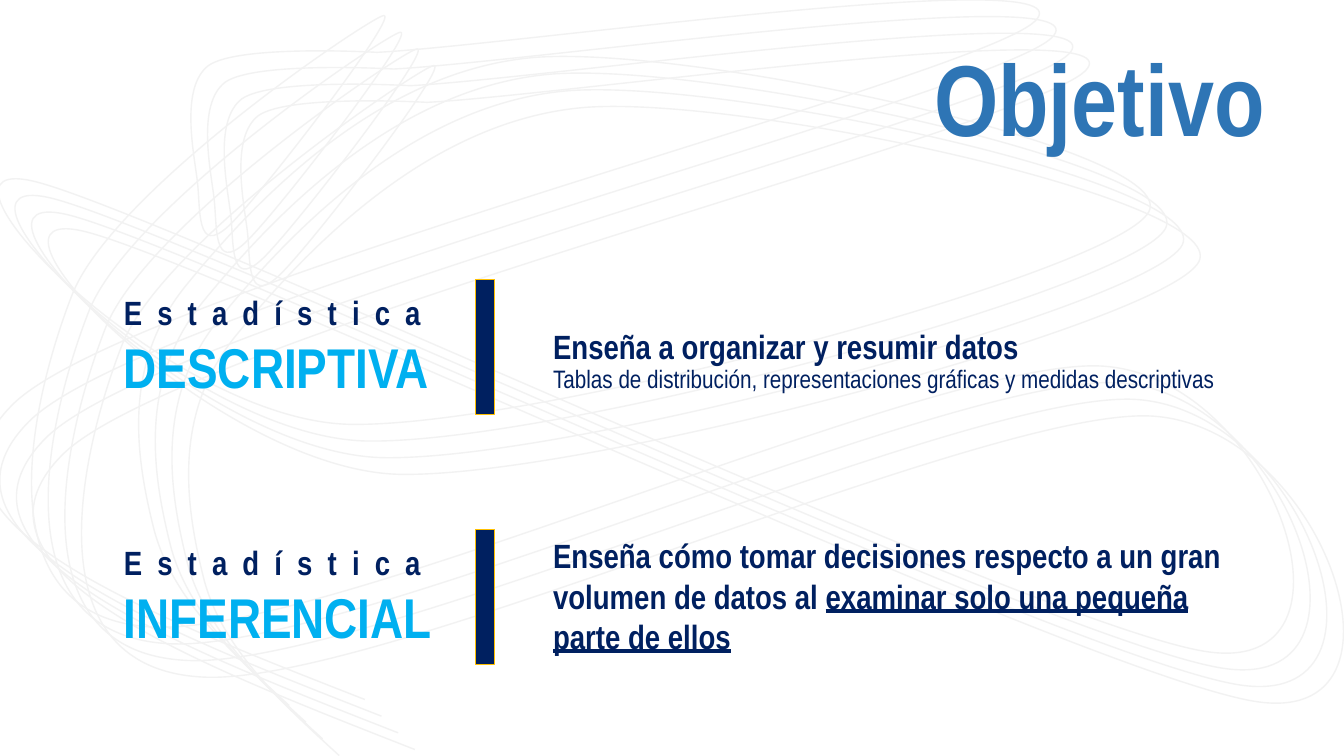
from dataclasses import dataclass

from lxml import etree
from pptx import Presentation
from pptx.dml.color import RGBColor
from pptx.enum.shapes import MSO_SHAPE
from pptx.enum.text import MSO_ANCHOR, MSO_AUTO_SIZE, PP_ALIGN
from pptx.oxml.ns import qn
from pptx.util import Cm, Pt

RECTANGLE = MSO_SHAPE.RECTANGLE
TOP = MSO_ANCHOR.TOP
RIGHT = PP_ALIGN.RIGHT
NO_AUTOFIT = MSO_AUTO_SIZE.NONE


@dataclass(frozen=True)
class Theme:
    font: str = "Arial Narrow"
    blue: RGBColor = RGBColor(0x2E, 0x75, 0xB5)
    navy: RGBColor = RGBColor(0x00, 0x20, 0x60)
    cyan: RGBColor = RGBColor(0x00, 0xB0, 0xF0)
    gold: RGBColor = RGBColor(0xFF, 0xC0, 0x00)
    pale: RGBColor = RGBColor(0xF2, 0xF2, 0xF2)
    title: Pt = Pt(72)
    branch: Pt = Pt(40)
    text: Pt = Pt(24)
    detail: Pt = Pt(18)
    line: Pt = Pt(1)


THEME = Theme()

# Swirl in hundredths of an inch: a start, then two control points and an end per curve
UNIT = 0.0254
SWIRL_LEFT, SWIRL_WIDTH, SWIRL_HEIGHT = -17, 1300, 700
SWIRL_START = (287, 700)
SWIRL_CURVES = [
    (228, 646, 169, 592, 152, 522),
    (135, 453, 121, 362, 184, 284),
    (247, 207, 371, 70, 531, 57),
    (690, 45, 1170, 149, 1140, 210),
    (1109, 270, 530, 425, 346, 421),
    (163, 416, -103, 143, 38, 181),
    (179, 219, 1019, 616, 1194, 646),
    (1369, 676, 1262, 367, 1088, 363),
    (914, 360, 318, 634, 149, 622),
    (-21, 611, 32, 395, 71, 294),
    (109, 193, 353, 27, 379, 16),
    (405, 4, 256, 198, 226, 225),
    (195, 253, 199, 208, 196, 181),
    (193, 154, 178, 87, 207, 65),
    (237, 44, 374, 52, 374, 52),
    (510, 45, 1087, -38, 1027, 21),
    (966, 79, 123, 289, 12, 402),
    (-99, 514, 132, 604, 362, 694),
]
SWIRL_COUNT = 4
SWIRL_SHIFT = 0.42

ROW_PITCH = 6.3
BRANCHES = ["DESCRIPTIVA", "INFERENCIAL"]
DESCRIPTIONS = [
    # top, width, height, size, bold, plain text, underlined text
    (8.08, 15.29, 1.27, THEME.text, True, "Enseña a organizar y resumir datos", ""),
    (13.36, 17.83, 3.33, THEME.text, True,
     "Enseña cómo tomar decisiones respecto a un gran volumen de datos al ",
     "examinar solo una pequeña parte de ellos"),
    (9.02, 19.69, 1.02, THEME.detail, False,
     "Tablas de distribución, representaciones gráficas y medidas descriptivas", ""),
]


def add_path_step(outline, tag, coordinates):
    """Append a drawing step to a freeform outline, with its x, y pairs as points."""
    step = etree.SubElement(outline, qn(tag))
    for x, y in zip(coordinates[::2], coordinates[1::2]):
        point = etree.SubElement(step, qn("a:pt"))
        point.set("x", str(int(Cm(UNIT * (x - SWIRL_LEFT)))))
        point.set("y", str(int(Cm(UNIT * y))))


def add_text_box(left, top, width, height):
    """Add a wrapping text box and return its first paragraph."""
    box = slide.shapes.add_textbox(Cm(left), Cm(top), Cm(width), Cm(height))
    box.text_frame.word_wrap = True
    paragraph = box.text_frame.paragraphs[0]
    paragraph.font.name = THEME.font
    return paragraph


presentation = Presentation()
presentation.slide_width = Cm(33.87)
presentation.slide_height = Cm(19.05)
slide = presentation.slides.add_slide(presentation.slide_layouts[5])

# Background swirls: a freeform frame whose straight outline gives way to curves
for index in range(SWIRL_COUNT):
    left, top = Cm(UNIT * SWIRL_LEFT + index * SWIRL_SHIFT), Cm(index * SWIRL_SHIFT)
    right, bottom = left + Cm(UNIT * SWIRL_WIDTH), top + Cm(UNIT * SWIRL_HEIGHT)
    builder = slide.shapes.build_freeform(left, top)
    builder.add_line_segments([(right, bottom)], close=False)
    swirl = builder.convert_to_shape()
    outline = next(swirl.element.iter(qn("a:path")))
    for step in list(outline):
        outline.remove(step)
    add_path_step(outline, "a:moveTo", SWIRL_START)
    for curve in SWIRL_CURVES:
        add_path_step(outline, "a:cubicBezTo", curve)
    swirl.fill.background()
    swirl.line.color.rgb = THEME.pale
    swirl.line.width = THEME.line
    swirl.shadow.inherit = False

# Title, in front of the swirls
title = slide.shapes.title
slide.shapes.element.append(title.element)
title.left, title.top, title.width, title.height = Cm(20.47), Cm(0.76), Cm(11.66), Cm(3.33)
title.text_frame.text = "Objetivo"
title.text_frame.auto_size = NO_AUTOFIT
title.text_frame.vertical_anchor = TOP
paragraph = title.text_frame.paragraphs[0]
paragraph.alignment = RIGHT
paragraph.font.name = THEME.font
paragraph.font.size = THEME.title
paragraph.font.bold = True
paragraph.font.color.rgb = THEME.blue

# Branch names with their bars
for row, branch in enumerate(BRANCHES):
    offset = row * ROW_PITCH
    paragraph = add_text_box(2.87, 7.24 + offset, 8.33, 3)
    paragraph.font.bold = True
    heading = paragraph.add_run()
    heading.text = " ".join("Estadística")
    heading.font.size = THEME.text
    heading.font.color.rgb = THEME.navy
    heading.font._element.set("spc", "270")
    paragraph.add_line_break()
    name = paragraph.add_run()
    name.text = branch
    name.font.size = THEME.branch
    name.font.color.rgb = THEME.cyan

    bar = slide.shapes.add_shape(RECTANGLE, Cm(11.99), Cm(7.04 + offset), Cm(0.48), Cm(3.4))
    bar.fill.solid()
    bar.fill.fore_color.rgb = THEME.navy
    bar.line.color.rgb = THEME.gold
    bar.line.width = THEME.line
    bar.shadow.inherit = False

# Descriptions
for top, width, height, size, bold, plain, underlined in DESCRIPTIONS:
    paragraph = add_text_box(13.69, top, width, height)
    paragraph.font.size = size
    paragraph.font.bold = bold
    paragraph.font.color.rgb = THEME.navy
    paragraph.add_run().text = plain
    if underlined:
        run = paragraph.add_run()
        run.text = underlined
        run.font.underline = True

presentation.save("out.pptx")
